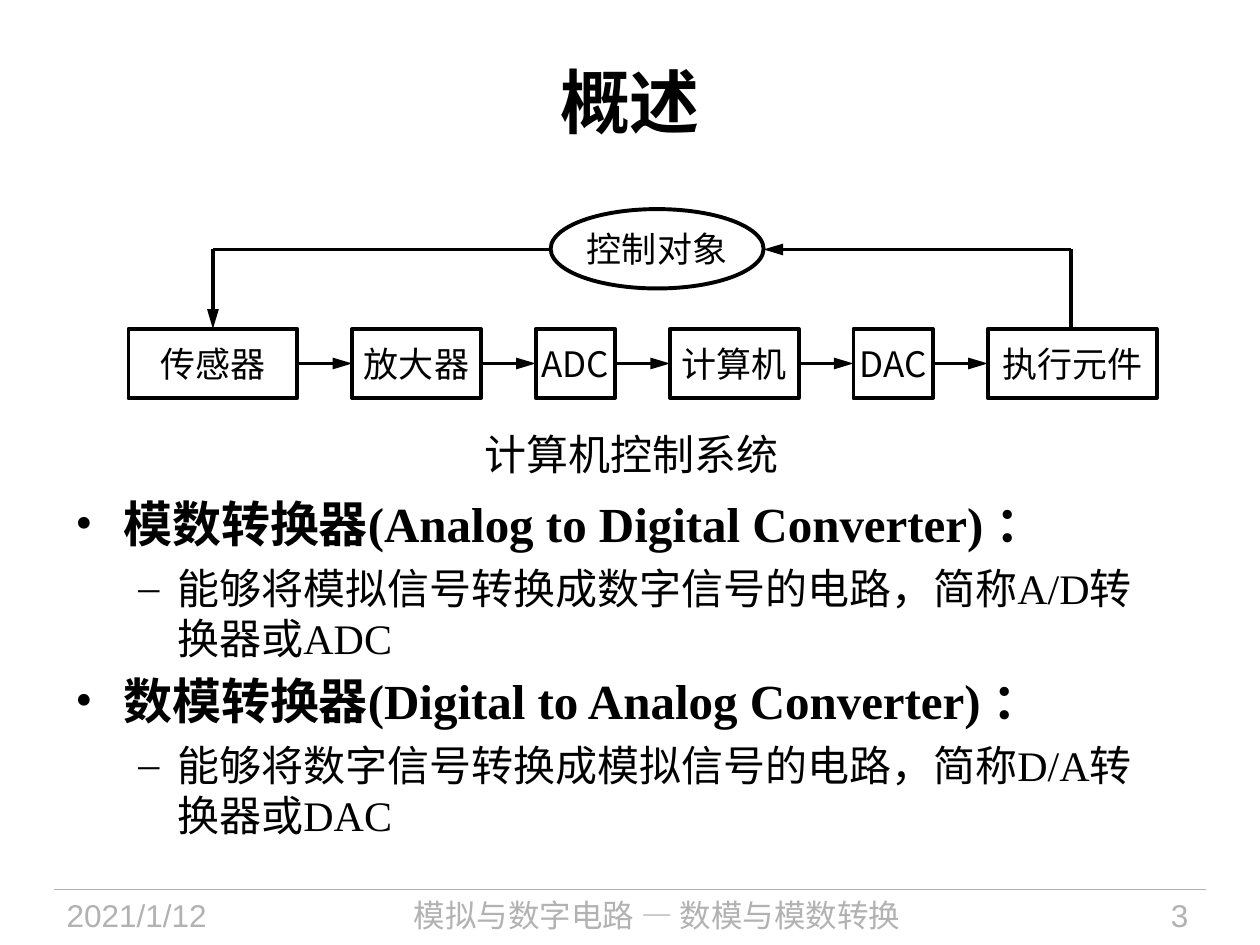
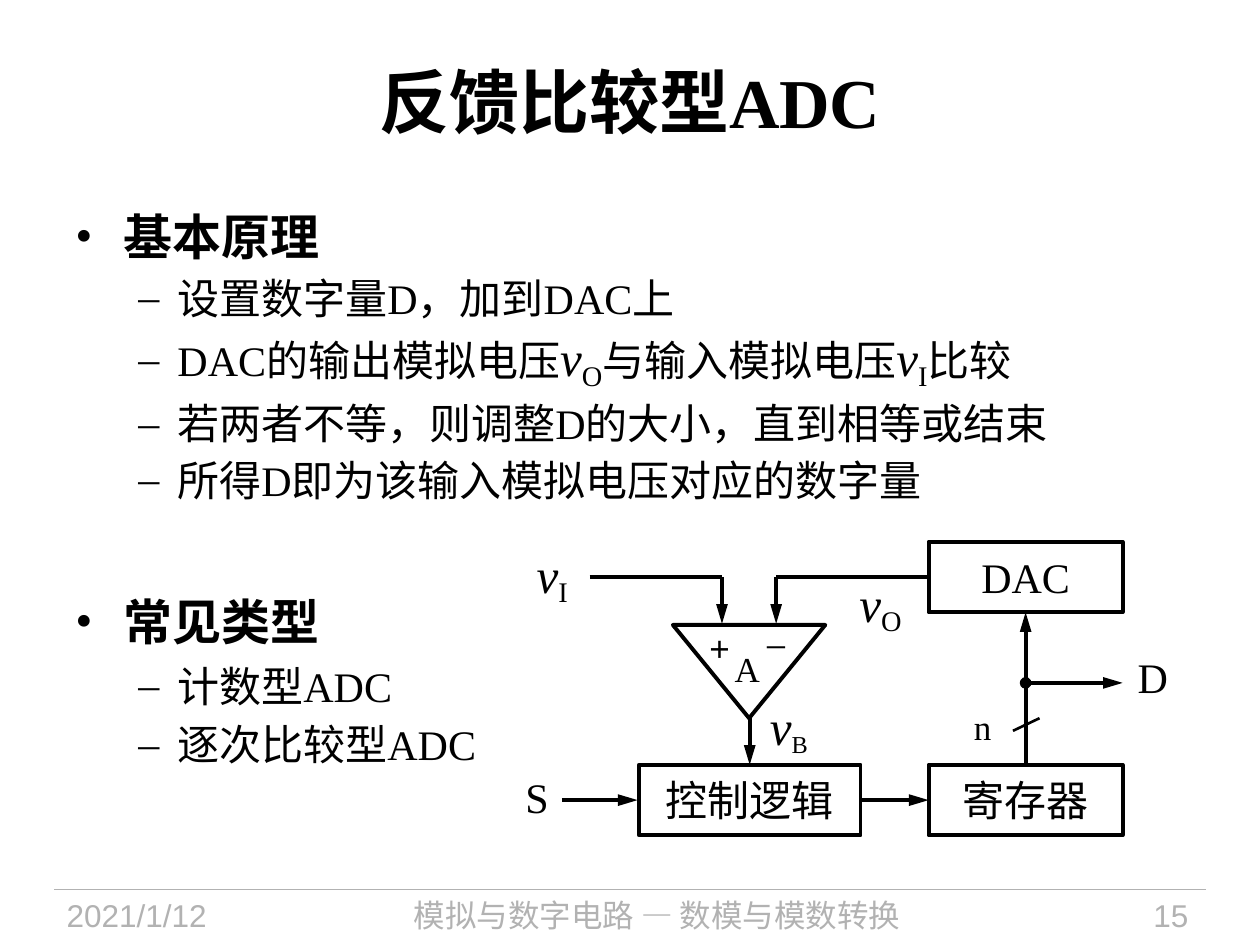
"""Build two slides on analog-digital conversion: system overview and feedback ADC."""
import pptx
import pptx.dml.color
import pptx.enum.shapes
import pptx.enum.text
import pptx.oxml
import pptx.oxml.ns
import pptx.util
from pptx.util import Inches

COLORS = {"ink": "000000", "footer": "B2B2B2"}
SERIF, SANS, CJK = "Times New Roman", "Arial", "Noto Sans CJK SC"
SHAPE = pptx.enum.shapes.MSO_SHAPE
ALIGN = pptx.enum.text.PP_ALIGN
ANCHOR = pptx.enum.text.MSO_ANCHOR
LEVELS = [
    {"size": 28, "bold": True, "bullet": "•", "margin": 0.38, "indent": -0.38},
    {"size": 24, "bold": False, "bullet": "–", "margin": 0.81, "indent": -0.31},
]


def color(name):
    """Return the named colour."""
    return pptx.dml.color.RGBColor.from_string(COLORS[name])


def add_xml(parent, tag, **attributes):
    """Append a DrawingML element with the given attributes."""
    child = pptx.oxml.parse_xml(f"<a:{tag} {pptx.oxml.ns.nsdecls('a')}/>")
    for key, value in attributes.items():
        child.set(key, str(value))
    parent.append(child)


def style_run(run, size, font=SERIF, bold=False, italic=False, ink="ink"):
    """Set the size, fonts, weight, slant and colour of a run."""
    run.font.size = pptx.util.Pt(size)
    run.font.bold = bold
    run.font.italic = italic
    run.font.color.rgb = color(ink)
    run.font.name = font
    add_xml(run.font._element, "ea", typeface=CJK)


def add_voltage(paragraph, subscript, subscript_size=28):
    """Append an italic v with an upright subscript."""
    symbol = paragraph.add_run()
    symbol.text = "v"
    style_run(symbol, 28, italic=True)
    index = paragraph.add_run()
    index.text = subscript
    style_run(index, subscript_size)
    index.font._element.set("baseline", "-20000")


def set_frame(frame, wrap=True, inset=None, anchor=ANCHOR.TOP):
    """Set wrapping, insets and anchor of a text frame."""
    frame.word_wrap = wrap
    frame.vertical_anchor = anchor
    if inset is not None:
        frame.margin_left = frame.margin_right = Inches(inset)
        frame.margin_top = frame.margin_bottom = Inches(inset)


def add_text(slide, box, text, size, font=SERIF, align=ALIGN.LEFT, bold=False,
             ink="ink", spacing=None, **frame_options):
    """Add a text box with one paragraph in one style."""
    holder = slide.shapes.add_textbox(*map(Inches, box))
    set_frame(holder.text_frame, **frame_options)
    paragraph = holder.text_frame.paragraphs[0]
    paragraph.text = text
    paragraph.alignment = align
    paragraph.line_spacing = spacing
    style_run(paragraph.runs[0], size, font, bold, ink=ink)


def add_voltage_label(slide, box, subscript, subscript_size=28):
    """Add a text box that holds one voltage symbol."""
    holder = slide.shapes.add_textbox(*map(Inches, box))
    set_frame(holder.text_frame, wrap=False, inset=0)
    paragraph = holder.text_frame.paragraphs[0]
    paragraph.line_spacing = 0.8
    add_voltage(paragraph, subscript, subscript_size)


def add_list(slide, box, items, space):
    """Add a two-level list; each item is a level and its pieces, voltages as tuples."""
    frame = slide.shapes.add_textbox(*map(Inches, box)).text_frame
    set_frame(frame)
    for number, (level, *pieces) in enumerate(items):
        look = LEVELS[level]
        paragraph = frame.add_paragraph() if number else frame.paragraphs[0]
        paragraph.level = level
        tallest = 30 if len(pieces) > 1 else look["size"]
        paragraph.line_spacing = pptx.util.Pt(round(tallest * 1.195, 1))
        paragraph.space_after = pptx.util.Pt(round(look["size"] * space, 1))
        properties = paragraph._p.get_or_add_pPr()
        properties.set("marL", str(Inches(look["margin"])))
        properties.set("indent", str(Inches(look["indent"])))
        add_xml(properties, "buFont", typeface=SERIF)
        add_xml(properties, "buChar", char=look["bullet"])
        for piece in pieces:
            if isinstance(piece, tuple):
                add_voltage(paragraph, piece[1])
            else:
                run = paragraph.add_run()
                run.text = piece
                style_run(run, look["size"], bold=look["bold"])


def add_block(slide, box, text="", size=24, font=SERIF, kind=SHAPE.RECTANGLE):
    """Add an outlined diagram block with centred text."""
    block = slide.shapes.add_shape(kind, *map(Inches, box))
    block.shadow.inherit = False
    block.fill.background()
    block.line.color.rgb = color("ink")
    block.line.width = pptx.util.Pt(2.25)
    if text:
        set_frame(block.text_frame, wrap=False, inset=0, anchor=ANCHOR.MIDDLE)
        block.text_frame.text = text
        paragraph = block.text_frame.paragraphs[0]
        paragraph.alignment = ALIGN.CENTER
        style_run(paragraph.runs[0], size, font)
    return block


def add_wire(slide, start, end, arrow=False, dot=False, width=2.25, ink="ink"):
    """Add a straight line with an optional arrowhead and starting dot."""
    wire = slide.shapes.add_connector(
        pptx.enum.shapes.MSO_CONNECTOR.STRAIGHT, *map(Inches, (*start, *end)))
    wire.line.color.rgb = color(ink)
    wire.line.width = pptx.util.Pt(width)
    outline = wire.line._get_or_add_ln()
    if dot:
        add_xml(outline, "headEnd", type="oval")
    if arrow:
        add_xml(outline, "tailEnd", type="triangle", w="med", len="lg")
    add_xml(wire._element.spPr, "effectLst")


def add_page(deck, title, number):
    """Add a slide with the shared title, rule and footer."""
    slide = deck.slides.add_slide(deck.slide_layouts[6])
    add_wire(slide, (0.43, 7.06), (9.57, 7.06), width=0.75, ink="footer")
    footer = [
        (0.43, 1.88, "2021/1/12", SANS, ALIGN.LEFT),
        (2.4, 5.63, "模拟与数字电路 — 数模与模数转换", CJK, ALIGN.CENTER),
        (8.2, 1.33, str(number), SANS, ALIGN.RIGHT),
    ]
    for left, width, text, font, align in footer:
        add_text(slide, (left, 7.06, width, 0.44), text, 18, font, align, ink="footer")
    add_text(slide, (0.5, 0.17, 9, 1.25), title, 40, align=ALIGN.CENTER, bold=True,
             anchor=ANCHOR.MIDDLE)
    return slide


def draw_control_loop(slide):
    """Draw the chain of stages and the loop through the controlled object."""
    stages = [("传感器", 1.34), ("放大器", 1.02), ("ADC", 0.63),
              ("计算机", 1.02), ("DAC", 0.63), ("执行元件", 1.34)]
    left, right, top, height = 1.02, 9.18, 2.61, 0.55
    gap = (right - left - sum(width for _, width in stages)) / (len(stages) - 1)
    middle = top + height / 2
    x = left
    for name, width in stages:
        if x > left:
            add_wire(slide, (x - gap, middle), (x, middle), arrow=True)
        add_block(slide, (x, top, width, height), name, 20, CJK)
        x += width + gap
    add_block(slide, (4.37, 1.66, 1.69, 0.63), "控制对象", 20, CJK, SHAPE.OVAL)
    sensor, actuator, loop = 1.69, 8.5, 1.98
    add_wire(slide, (4.37, loop), (sensor, loop))
    add_wire(slide, (sensor, loop), (sensor, top), arrow=True)
    add_wire(slide, (actuator, top), (actuator, loop))
    add_wire(slide, (actuator, loop), (6.06, loop), arrow=True)
    add_text(slide, (3.81, 3.4, 2.41, 0.4), "计算机控制系统", 24, CJK, ALIGN.CENTER,
             wrap=False, inset=0)


def draw_feedback_adc(slide):
    """Draw the comparator, control logic, register and DAC circuit."""
    comparator = add_block(slide, (5.34, 4.96, 1.21, 0.74), kind=SHAPE.ISOSCELES_TRIANGLE)
    comparator.rotation = 180
    for name, left, top, width in [("DAC", 7.37, 4.3, 1.54), ("寄存器", 7.37, 6.07, 1.54),
                                   ("控制逻辑", 5.07, 6.07, 1.76)]:
        add_block(slide, (left, top, width, 0.56), name)
    for source, entry in [(4.68, 5.73), (7.37, 6.16)]:
        add_wire(slide, (source, 4.58), (entry, 4.58))
        add_wire(slide, (entry, 4.58), (entry, 4.95), arrow=True)
    for start, end in [((5.95, 5.7), (5.95, 6.07)), ((6.83, 6.35), (7.37, 6.35)),
                       ((8.14, 6.07), (8.14, 4.86)), ((4.46, 6.35), (5.06, 6.35))]:
        add_wire(slide, start, end, arrow=True)
    add_wire(slide, (8.14, 5.42), (8.91, 5.42), arrow=True, dot=True)
    add_wire(slide, (8.25, 5.7), (8.04, 5.8), width=1.5)
    labels = [
        ("+", (5.63, 4.97, 0.16, 0.33), 20, SANS, None),
        ("_", (6.09, 5, 0.14, 0.12), 18, SANS, 0.4),
        ("A", (5.83, 5.14, 0.2, 0.33), 20, SERIF, None),
        ("n", (7.73, 5.6, 0.14, 0.33), 20, SERIF, None),
        ("S", (4.17, 6.2, 0.19, 0.32), 24, SERIF, 0.8),
        ("D", (9.03, 5.25, 0.24, 0.32), 24, SERIF, 0.8),
    ]
    for text, box, size, font, spacing in labels:
        add_text(slide, box, text, size, font, spacing=spacing, wrap=False, inset=0)
    add_voltage_label(slide, (4.26, 4.38, 0.26, 0.37), "I")
    add_voltage_label(slide, (6.82, 4.61, 0.36, 0.37), "O")
    add_voltage_label(slide, (6.11, 5.6, 0.32, 0.37), "B", 24)


def main():
    """Build and save the deck."""
    deck = pptx.Presentation()
    deck.slide_width, deck.slide_height = Inches(10), Inches(7.5)

    overview = add_page(deck, "概述", 3)
    add_list(overview, (0.5, 3.87, 8.83, 3.11), [
        (0, "模数转换器(Analog to Digital Converter) ："),
        (1, "能够将模拟信号转换成数字信号的电路，简称A/D转换器或ADC"),
        (0, "数模转换器(Digital to Analog Converter) ："),
        (1, "能够将数字信号转换成模拟信号的电路，简称D/A转换器或DAC"),
    ], 0.2)
    draw_control_loop(overview)

    feedback = add_page(deck, "反馈比较型ADC", 15)
    add_list(feedback, (0.5, 1.59, 8.91, 2.64), [
        (0, "基本原理"),
        (1, "设置数字量D，加到DAC上"),
        (1, "DAC的输出模拟电压", ("v", "O"), "与输入模拟电压", ("v", "I"), "比较"),
        (1, "若两者不等，则调整D的大小，直到相等或结束"),
        (1, "所得D即为该输入模拟电压对应的数字量"),
    ], 0.15)
    add_list(feedback, (0.5, 4.65, 3.74, 2.32), [
        (0, "常见类型"),
        (1, "计数型ADC"),
        (1, "逐次比较型ADC"),
    ], 0.2)
    draw_feedback_adc(feedback)
    deck.save("out.pptx")


main()
